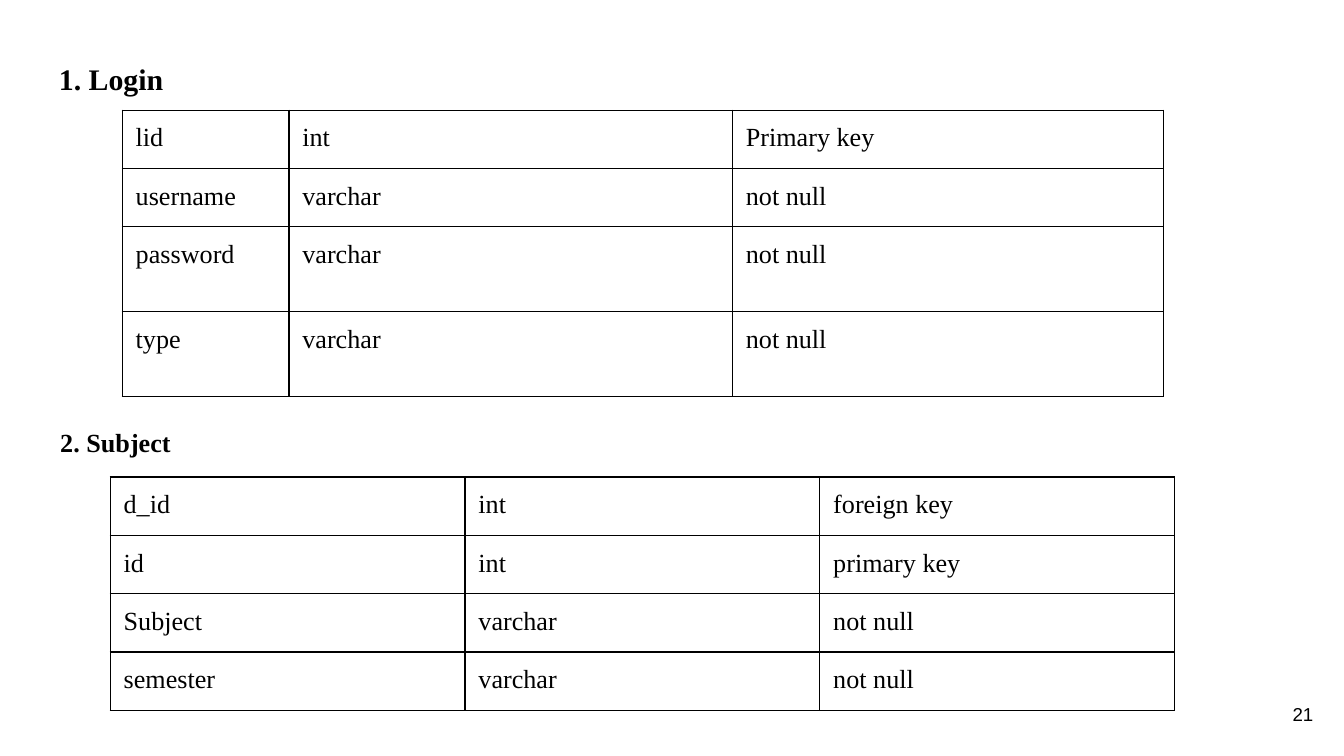
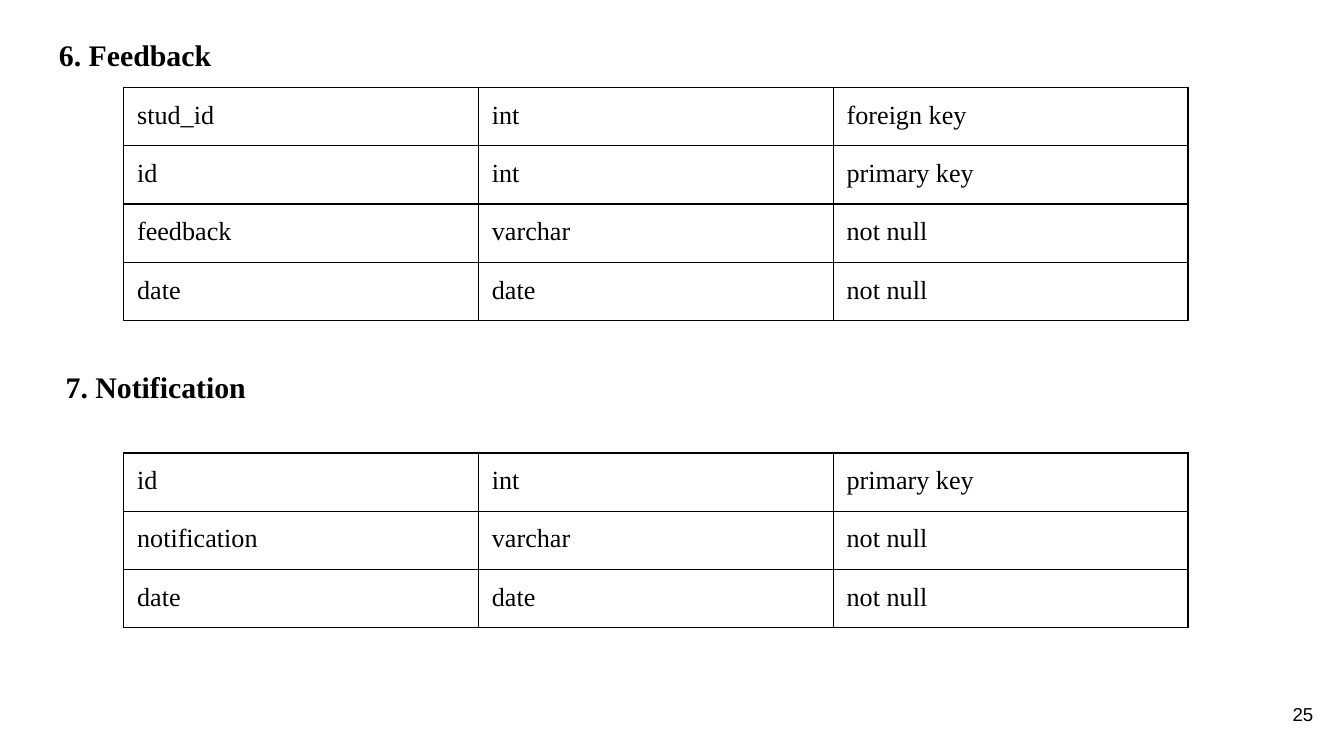
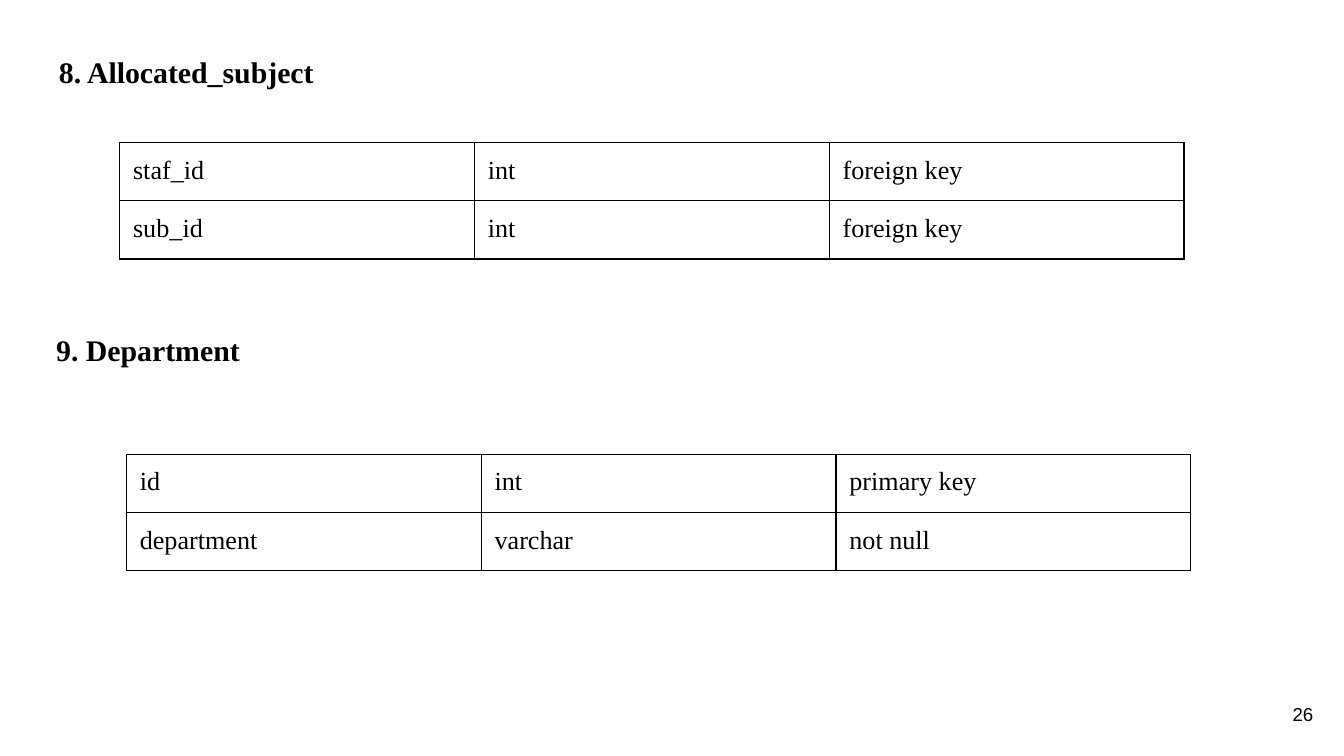
from collections import namedtuple
from dataclasses import dataclass

from lxml import etree
from pptx import Presentation
from pptx.dml.color import RGBColor
from pptx.enum.text import MSO_ANCHOR, MSO_AUTO_SIZE, PP_ALIGN
from pptx.oxml.ns import qn
from pptx.util import Inches, Pt

MIDDLE, TOP = MSO_ANCHOR.MIDDLE, MSO_ANCHOR.TOP
LEFT, RIGHT = PP_ALIGN.LEFT, PP_ALIGN.RIGHT
FIT, FIXED = MSO_AUTO_SIZE.SHAPE_TO_FIT_TEXT, MSO_AUTO_SIZE.NONE
WIDE, HIGH = Inches(10), Inches(5.625)
UNIT = WIDE // 100
EDGES = ("a:lnL", "a:lnR", "a:lnT", "a:lnB")

Box = namedtuple("Box", "left top width height")


@dataclass(frozen=True)
class Theme:
    """Colours, fonts and sizes that all slides share."""
    ink: str = "000000"
    paper: str = "FFFFFF"
    serif: str = "Times New Roman"
    sans: str = "Arial"
    head: int = 16
    cell: int = 14
    page: int = 10
    rule: float = 0.75
    inset: float = 1
    row: float = 4.16
    lead: float = 1.15


@dataclass(frozen=True)
class Head:
    """A numbered heading and its place on the grid."""
    text: str
    box: Box
    size: int = Theme.head
    lead: float = Theme.lead
    inset: float = Theme.inset
    after: int = 0
    fit: bool = True


@dataclass(frozen=True)
class Grid:
    """A field table: corner, width, rows of text and track sizes."""
    left: float
    top: float
    fields: tuple
    width: float = 79.2
    cols: tuple = (1, 1, 1)
    rows: tuple = ()


THEME = Theme()
PAGE = Box(92.7, 51, 6, 4.3)


def cells(count):
    """Turn grid units into a length."""
    return round(count * UNIT)


def write(para, text, size, font, bold=False):
    """Add one styled run to a paragraph."""
    run = para.add_run()
    run.text = text
    run.font.size, run.font.name, run.font.bold = Pt(size), font, bold
    run.font.color.rgb = RGBColor.from_string(THEME.ink)


def frame(slide, box, inset=THEME.inset, anchor=TOP):
    """Add a wrapping text box and return its frame."""
    text = slide.shapes.add_textbox(*map(cells, box)).text_frame
    text.word_wrap, text.vertical_anchor = True, anchor
    text.margin_left = text.margin_right = cells(THEME.inset)
    text.margin_top = text.margin_bottom = cells(inset)
    return text


def add_head(slide, head):
    """Place a bold heading in its box."""
    text = frame(slide, head.box, head.inset)
    text.auto_size = FIT if head.fit else FIXED
    para = text.paragraphs[0]
    para.alignment, para.line_spacing = LEFT, head.lead
    para.space_after = Pt(head.after)
    write(para, head.text, head.size, THEME.serif, True)


def add_page(slide, box, number):
    """Place the page number at the right of its box."""
    para = frame(slide, box, anchor=MIDDLE).paragraphs[0]
    para.alignment = RIGHT
    write(para, str(number), THEME.page, THEME.sans)


def rule_cell(cell):
    """Draw the four borders of a cell and fill it."""
    props = cell._tc.get_or_add_tcPr()
    for edge in EDGES:
        line = etree.SubElement(props, qn(edge), w=str(Pt(THEME.rule)))
        fill = etree.SubElement(line, qn("a:solidFill"))
        etree.SubElement(fill, qn("a:srgbClr"), val=THEME.ink)
    cell.fill.solid()
    cell.fill.fore_color.rgb = RGBColor.from_string(THEME.paper)


def add_grid(slide, grid):
    """Place a ruled table, with columns as shares of its width."""
    rows = grid.rows or (THEME.row,) * len(grid.fields)
    box = Box(grid.left, grid.top, grid.width, sum(rows))
    table = slide.shapes.add_table(
        len(rows), len(grid.cols), *map(cells, box)).table
    table.first_row = table.horz_banding = False
    for col, share in zip(table.columns, grid.cols):
        col.width = cells(box.width * share / sum(grid.cols))
    for row, height, field in zip(table.rows, rows, grid.fields):
        row.height = cells(height)
        for cell, text in zip(row.cells, field):
            cell.margin_left = cell.margin_right = cells(THEME.inset)
            cell.margin_top = cell.margin_bottom = cells(THEME.inset)
            rule_cell(cell)
            write(cell.text_frame.paragraphs[0], text, THEME.cell, THEME.serif)


def add_slide(deck, number, first, second, grids):
    """Build a slide of two headed tables."""
    slide = deck.slides.add_slide(deck.slide_layouts[6])
    slide.background.fill.solid()
    slide.background.fill.fore_color.rgb = RGBColor.from_string(THEME.paper)
    add_head(slide, first)
    add_page(slide, PAGE, number)
    for grid in grids:
        add_grid(slide, grid)
    add_head(slide, second)


def lead_head(text, top, height):
    """Describe the heading that opens a slide."""
    return Head(text, Box(3.4, top, 93.2, height), fit=False)


SLIDES = (
    (21, lead_head("1. Login", 3.1, 53.1),
     Head("2. Subject", Box(3.5, 31.2, 19.4, 3.4), THEME.cell, 1, 0.5),
     (Grid(9.1, 8.2, (("lid", "int", "Primary key"),
                      ("username", "varchar", "not null"),
                      ("password", "varchar", "not null"),
                      ("type", "varchar", "not null")),
           77.5, (1.24, 3.3, 3.21), (4.1, 4.1, 6.3, 6.3)),
      Grid(8.2, 35.5, (("d_id", "int", "foreign key"),
                       ("id", "int", "primary key"),
                       ("Subject", "varchar", "not null"),
                       ("semester", "varchar", "not null"))))),
    (25, lead_head("6. Feedback", 1.3, 48.7),
     Head("7. Notification", Box(3.9, 26, 46.1, 6.8), after=12),
     (Grid(9.2, 6.5, (("stud_id", "int", "foreign key"),
                      ("id", "int", "primary key"),
                      ("feedback", "varchar", "not null"),
                      ("date", "date", "not null"))),
      Grid(9.2, 33.7, (("id", "int", "primary key"),
                       ("notification", "varchar", "not null"),
                       ("date", "date", "not null"))))),
    (26, lead_head("8. Allocated_subject", 2.6, 48.2),
     Head("9. Department", Box(3.2, 23.7, 41.6, 4.7), lead=1),
     (Grid(8.9, 10.6, (("staf_id", "int", "foreign key"),
                       ("sub_id", "int", "foreign key"))),
      Grid(9.4, 33.8, (("id", "int", "primary key"),
                       ("department", "varchar", "not null"))))),
)


def main():
    """Build and save the deck."""
    deck = Presentation()
    deck.slide_width, deck.slide_height = WIDE, HIGH
    for parts in SLIDES:
        add_slide(deck, *parts)
    deck.save("out.pptx")


if __name__ == "__main__":
    main()
